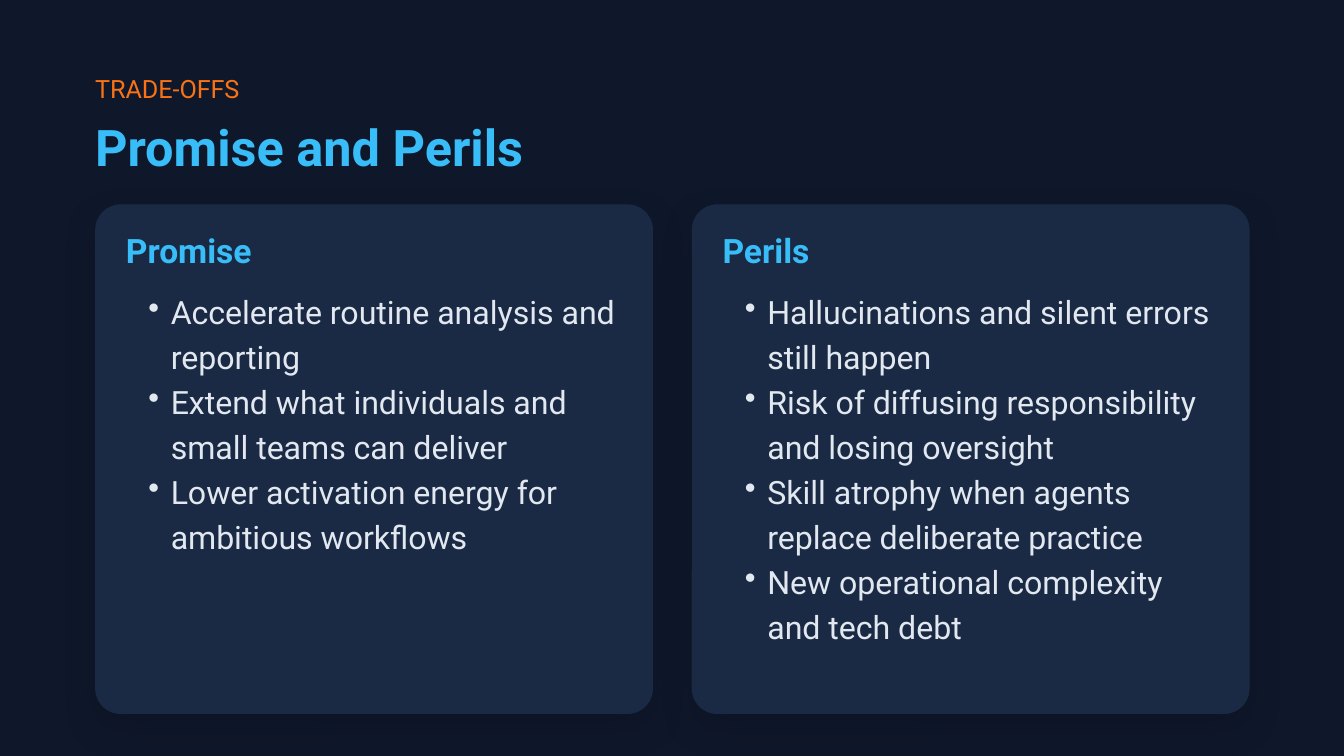
"""Build a dark slide that weighs promise against perils on two cards."""
from lxml import etree
from pptx import Presentation
from pptx.dml.color import RGBColor
from pptx.enum.shapes import MSO_SHAPE
from pptx.oxml import parse_xml
from pptx.oxml.ns import nsdecls, qn
from pptx.util import Pt

ROUND = MSO_SHAPE.ROUNDED_RECTANGLE

THEME = {
    "back": "0F172A",
    "card": "1B2A44",
    "shade": "050C1A",
    "font": "Roboto",
    "label": {"size": 13.5, "color": "F97316", "bold": False, "line": 19.6},
    "title": {"size": 27, "color": "38BDF8", "bold": True, "line": None},
    "head": {"size": 18, "color": "38BDF8", "bold": True, "line": None},
    "body": {"size": 17.2, "color": "E2E8F0", "bold": False, "line": 24.1},
}

LEFT, TOP, WIDE, TALL, STEP = 51, 109.5, 298.8, 273, 319.6
PAD, DENT = 16.5, 12

CARDS = [
    ("Promise", [
        "Accelerate routine analysis and reporting",
        "Extend what individuals and small teams can deliver",
        "Lower activation energy for ambitious workflows",
    ]),
    ("Perils", [
        "Hallucinations and silent errors still happen",
        "Risk of diffusing responsibility and losing oversight",
        "Skill atrophy when agents replace deliberate practice",
        "New operational complexity and tech debt",
    ]),
]


def write(slide, box, lines, style, dent=0):
    """Add a text box with one paragraph a line, bulleted if indented."""
    look = THEME[style]
    frame = slide.shapes.add_textbox(*map(Pt, box)).text_frame
    form = {"word_wrap": True, "margin_left": Pt(dent), "margin_top": 0,
            "margin_right": 0, "margin_bottom": 0}
    for name, value in form.items():
        setattr(frame, name, value)
    frame.text = "\n".join(lines)
    for para in frame.paragraphs:
        if look["line"]:
            para.line_spacing = Pt(look["line"])
        if dent:
            props = para._p.get_or_add_pPr()
            props.set("marL", str(Pt(dent)))
            props.set("indent", str(-Pt(dent)))
            etree.SubElement(props, qn("a:buChar")).set("char", "•")
        font = para.runs[0].font
        face = {"name": THEME["font"], "size": Pt(look["size"]), "bold": look["bold"]}
        for name, value in face.items():
            setattr(font, name, value)
        font.color.rgb = RGBColor.from_string(look["color"])


deck = Presentation()
deck.slide_width, deck.slide_height = Pt(720), Pt(405)
slide = deck.slides.add_slide(deck.slide_layouts[6])
fill = slide.background.fill
fill.solid()
fill.fore_color.rgb = RGBColor.from_string(THEME["back"])

write(slide, (LEFT, 36, 631, 19.5), ["TRADE-OFFS"], "label")
write(slide, (LEFT, 62, 631, 32), ["Promise and Perils"], "title")

for index, (head, points) in enumerate(CARDS):
    left = LEFT + index * STEP
    card = slide.shapes.add_shape(ROUND, Pt(left), Pt(TOP), Pt(WIDE), Pt(TALL))
    card.adjustments[0] = 0.05
    card.fill.solid()
    card.fill.fore_color.rgb = RGBColor.from_string(THEME["card"])
    card.line.fill.background()
    card.shadow.inherit = False
    card._element.spPr.find(qn("a:effectLst")).append(parse_xml(
        f'<a:outerShdw {nsdecls("a")} blurRad="{Pt(18)}" dist="{Pt(7.5)}" '
        f'dir="5400000" algn="ctr" rotWithShape="0"><a:srgbClr val="{THEME["shade"]}">'
        '<a:alpha val="25000"/></a:srgbClr></a:outerShdw>'))
    write(slide, (left + PAD, 123, 271, 21), [head], "head")
    tall = 2 * len(points) * THEME["body"]["line"]
    write(slide, (left + PAD, 153.4, 265.7, tall), points, "body", DENT)

deck.save("out.pptx")
